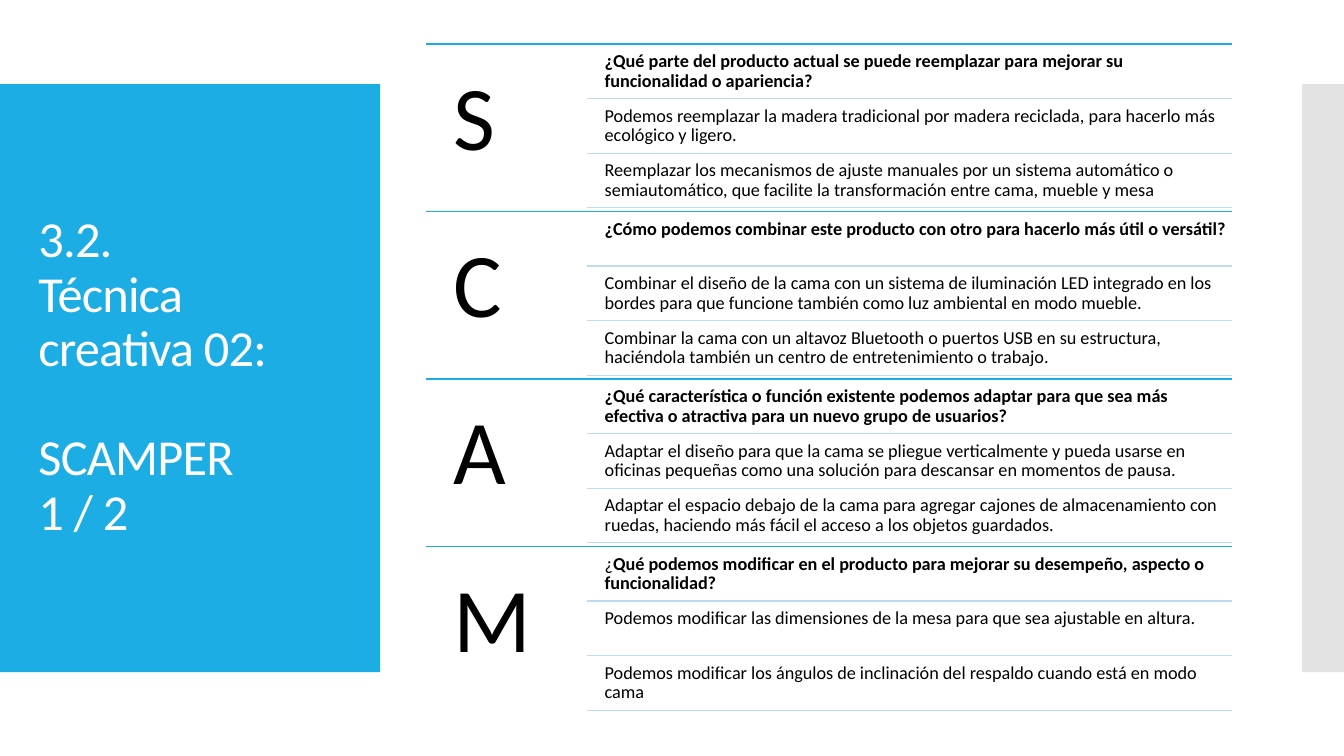
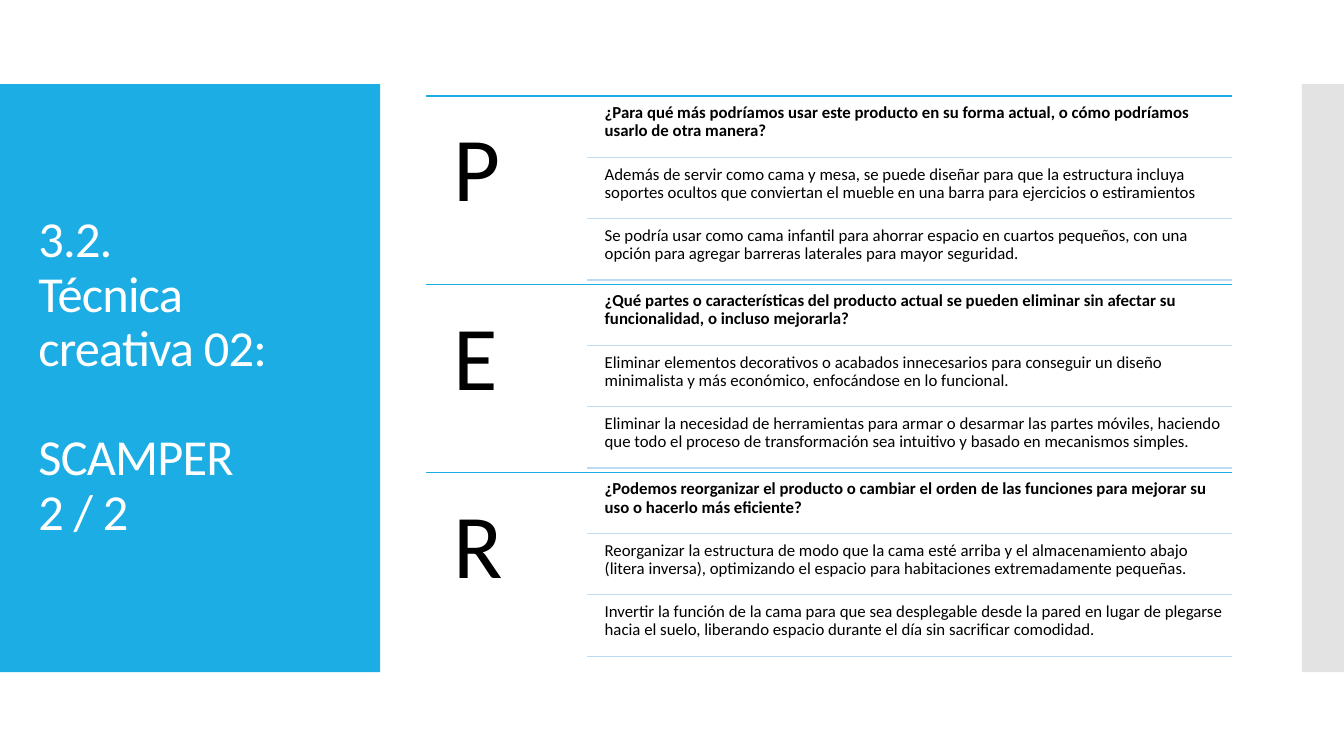
import lxml.etree
import pptx
import pptx.dml.color
import pptx.enum.shapes
import pptx.enum.text
import pptx.oxml.ns
import pptx.util

Cm = pptx.util.Cm
Pt = pptx.util.Pt
qn = pptx.oxml.ns.qn

SKY = pptx.dml.color.RGBColor(0x1C, 0xAD, 0xE4)
PALE_SKY = pptx.dml.color.RGBColor(0xBD, 0xDB, 0xF2)
GRAY = pptx.dml.color.RGBColor(0xC8, 0xC8, 0xC8)
WHITE = pptx.dml.color.RGBColor(0xFF, 0xFF, 0xFF)
BLACK = pptx.dml.color.RGBColor(0x00, 0x00, 0x00)
FONT = "Calibri"

BAND_TOP, BAND_HEIGHT = 2.12, 14.82
BANDS = [(0, 9.58, SKY, 100), (32.81, 1.06, GRAY, 50)]
TITLE_LINES = [("3.2.", 0), ("Técnica creativa 02:", 0), ("SCAMPER", 39)]
LETTER_LEFT, LETTER_WIDTH = 10.74, 4.06
ROW_RULE_LEFT, ROW_LEFT, RIGHT = 14.8, 15.11, 31.06
ROW_SHARE, GAP_SHARE = 0.31, 0.02

PAGES = [
    {
        "number": "1 / 2", "top": 1.11, "pitch": 4.22, "size": 13,
        "blocks": [
            ("S", [
                [("¿Qué parte del producto actual se puede reemplazar para mejorar su funcionalidad o apariencia?", True)],
                [("Podemos reemplazar la madera tradicional por madera reciclada, para hacerlo más ecológico y ligero.", False)],
                [("Reemplazar los mecanismos de ajuste manuales por un sistema automático o semiautomático, que facilite la transformación entre cama, mueble y mesa", False)],
            ]),
            ("C", [
                [("¿Cómo podemos combinar este producto con otro para hacerlo más útil o versátil?", True)],
                [("Combinar el diseño de la cama con un sistema de iluminación LED integrado en los bordes para que funcione también como luz ambiental en modo mueble.", False)],
                [("Combinar la cama con un altavoz Bluetooth o puertos USB en su estructura, haciéndola también un centro de entretenimiento o trabajo.", False)],
            ]),
            ("A", [
                [("¿Qué característica o función existente podemos adaptar para que sea más efectiva o atractiva para un nuevo grupo de usuarios?", True)],
                [("Adaptar el diseño para que la cama se pliegue verticalmente y pueda usarse en oficinas pequeñas como una solución para descansar en momentos de pausa.", False)],
                [("Adaptar el espacio debajo de la cama para agregar cajones de almacenamiento con ruedas, haciendo más fácil el acceso a los objetos guardados.", False)],
            ]),
            ("M", [
                [("¿", False), ("Qué podemos modificar en el producto para mejorar su desempeño, aspecto o funcionalidad?", True)],
                [("Podemos modificar las dimensiones de la mesa para que sea ajustable en altura.", False)],
                [("Podemos modificar los ángulos de inclinación del respaldo cuando está en modo cama", False)],
            ]),
        ],
    },
    {
        "number": "2 / 2", "top": 2.42, "pitch": 4.74, "size": 12,
        "blocks": [
            ("P", [
                [("¿Para qué más podríamos usar este producto en su forma actual, o cómo podríamos usarlo de otra manera?", True)],
                [("Además de servir como cama y mesa, se puede diseñar para que la estructura incluya soportes ocultos que conviertan el mueble en una barra para ejercicios o estiramientos", False)],
                [("Se podría usar como cama infantil para ahorrar espacio en cuartos pequeños, con una opción para agregar barreras laterales para mayor seguridad.", False)],
            ]),
            ("E", [
                [("¿Qué partes o características del producto actual se pueden eliminar sin afectar su funcionalidad, o incluso mejorarla?", True)],
                [("Eliminar elementos decorativos o acabados innecesarios para conseguir un diseño minimalista y más económico, enfocándose en lo funcional.", False)],
                [("Eliminar la necesidad de herramientas para armar o desarmar las partes móviles, haciendo que todo el proceso de transformación sea intuitivo y basado en mecanismos simples.", False)],
            ]),
            ("R", [
                [("¿Podemos reorganizar el producto o cambiar el orden de las funciones para mejorar su uso o hacerlo más eficiente?", True)],
                [("Reorganizar la estructura de modo que la cama esté arriba y el almacenamiento abajo (litera inversa), optimizando el espacio para habitaciones extremadamente pequeñas.", False)],
                [("Invertir la función de la cama para que sea desplegable desde la pared en lugar de plegarse hacia el suelo, liberando espacio durante el día sin sacrificar comodidad.", False)],
            ]),
        ],
    },
]


def add_text(page, left, top, width, height, inset, paragraphs, size, color):
    box = page.shapes.add_textbox(Cm(left), Cm(top), Cm(width), Cm(height))
    frame = box.text_frame
    frame.word_wrap = True
    frame.margin_left = frame.margin_right = Cm(inset)
    frame.margin_top = frame.margin_bottom = Cm(inset)
    for index, (spans, space) in enumerate(paragraphs):
        para = frame.paragraphs[0] if index == 0 else frame.add_paragraph()
        para.line_spacing = 0.9
        if space:
            para.space_before = Pt(space)
        for text, bold in spans:
            span = para.add_run()
            span.text = text
            span.font.name = FONT
            span.font.size = Pt(size)
            span.font.bold = bold
            span.font.color.rgb = color
    return frame


def add_rule(page, left, height, color):
    rule = page.shapes.add_connector(
        pptx.enum.shapes.MSO_CONNECTOR.STRAIGHT, Cm(left), Cm(height), Cm(RIGHT), Cm(height))
    rule.line.color.rgb = color
    rule.line.width = Pt(0.85)
    lxml.etree.SubElement(rule._element.spPr, qn("a:effectLst"))


deck = pptx.Presentation()
deck.slide_width = Cm(33.87)
deck.slide_height = Cm(19.05)

for content in PAGES:
    page = deck.slides.add_slide(deck.slide_layouts[6])

    for left, width, color, opacity in BANDS:
        band = page.shapes.add_shape(
            pptx.enum.shapes.MSO_SHAPE.RECTANGLE, Cm(left), Cm(BAND_TOP), Cm(width), Cm(BAND_HEIGHT))
        band.shadow.inherit = False
        band.fill.solid()
        band.fill.fore_color.rgb = color
        band.line.fill.background()
        if opacity < 100:
            tint = band._element.spPr.find(qn("a:solidFill"))[0]
            lxml.etree.SubElement(tint, qn("a:alpha")).set("val", str(opacity * 1000))

    title_lines = TITLE_LINES + [(content["number"], 0)]
    title = add_text(page, 0.72, 3.13, 8.17, 12.78, 0.25,
                     [([(text, False)], space) for text, space in title_lines], 36, WHITE)
    title.vertical_anchor = pptx.enum.text.MSO_ANCHOR.MIDDLE
    for para in title.paragraphs:
        for span in para.runs:
            span._r.get_or_add_rPr().set("spc", "-60")

    pitch = content["pitch"]
    gap = pitch * GAP_SHARE * 0.8
    row_height = pitch * ROW_SHARE
    for block_index, (letter, rows) in enumerate(content["blocks"]):
        block_top = content["top"] + block_index * pitch
        add_rule(page, LETTER_LEFT, block_top, SKY)
        add_text(page, LETTER_LEFT, block_top, LETTER_WIDTH, pitch, 0.69,
                 [([(letter, False)], 0)], 65, BLACK)
        for row_index, spans in enumerate(rows):
            row_top = block_top + gap + row_index * (row_height + gap)
            add_text(page, ROW_LEFT, row_top, RIGHT - ROW_LEFT, row_height, 0.13,
                     [(spans, 0)], content["size"], BLACK)
            add_rule(page, ROW_RULE_LEFT, row_top + row_height, PALE_SKY)

deck.save("out.pptx")
